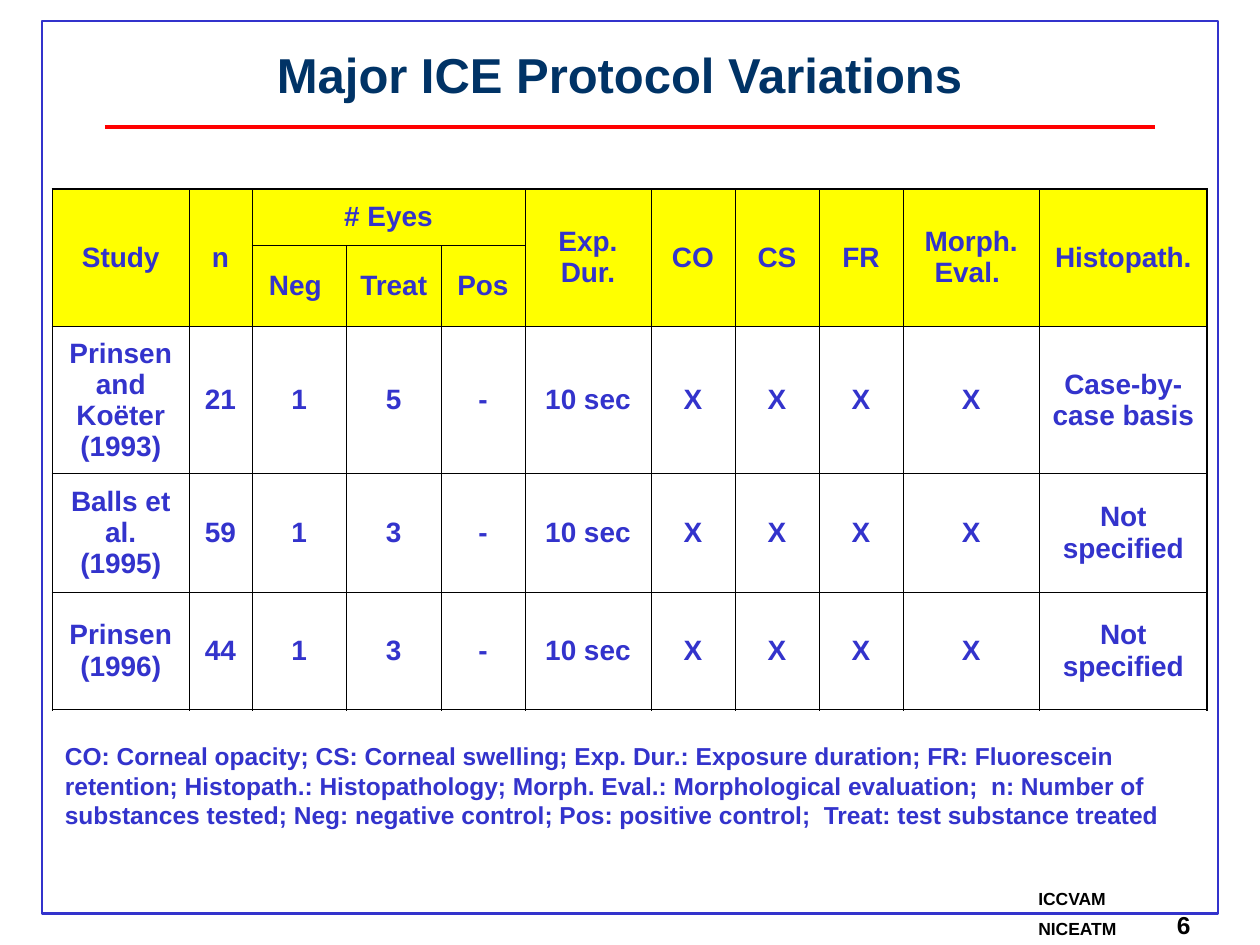
from lxml import etree
from pptx import Presentation
from pptx import util as u
from pptx.dml.color import RGBColor
from pptx.enum import shapes, text
from pptx.oxml import ns

PX = u.Inches(1) // 120
FONT = "Arial"
COLORS = {"blue": "3333CC", "navy": "003366", "red": "FF0000",
          "yellow": "FFFF00", "black": "000000"}
THIN, THICK = 0.45, 1.08
COLS = [130, 60, 90, 90, 80, 120, 80, 80, 80, 130, 160]
ROWS = [54, 77, 140, 113, 112]
HEAD = ["Study", "n", "# Eyes", "", "", "Exp. Dur.", "CO", "CS", "FR",
        "Morph. Eval. ", "Histopath."]
EYES = {2: "Neg ", 3: "Treat", 4: "Pos"}
STUDIES = [
    ("Prinsen and Koëter (1993)", "21", "5", "Case-by-case basis"),
    ("Balls et al. (1995)", "59", "3", "Not specified"),
    ("Prinsen (1996)", "44", "3", "Not specified"),
]
NOTE = ("CO: Corneal opacity; CS: Corneal swelling; Exp. Dur.: Exposure duration; "
        "FR: Fluorescein retention; Histopath.: Histopathology; "
        "Morph. Eval.: Morphological evaluation;  n: Number of substances tested; "
        "Neg: negative control; Pos: positive control;  "
        "Treat: test substance treated")


def rgb(name):
    return RGBColor.from_string(COLORS[name])


def px(*vals):
    return [u.Emu(v * PX) for v in vals]


def write(frame, words, size, color, align=text.PP_ALIGN.LEFT):
    frame.text = words
    para = frame.paragraphs[0]
    para.alignment = align
    for run in para.runs:
        font = run.font
        font.name, font.size, font.bold = FONT, u.Pt(size), True
        font.color.rgb = rgb(color)


def add_text(slide, box, words, size, color, align=text.PP_ALIGN.LEFT,
             anchor=text.MSO_ANCHOR.TOP):
    frame = slide.shapes.add_textbox(*px(*box)).text_frame
    frame.word_wrap = True
    frame.vertical_anchor = anchor
    write(frame, words, size, color, align)


def add_frame(slide, box):
    rect = slide.shapes.add_shape(shapes.MSO_SHAPE.RECTANGLE, *px(*box))
    rect.shadow.inherit = False
    rect.fill.background()
    rect.line.color.rgb = rgb("blue")
    rect.line.width = u.Pt(1.5)


def add_rule(slide, ends):
    rule = slide.shapes.add_connector(shapes.MSO_CONNECTOR.STRAIGHT, *px(*ends))
    rule.line.color.rgb = rgb("red")
    rule.line.width = u.Pt(2.25)
    etree.SubElement(rule._element.spPr, ns.qn("a:effectLst"))


def add_edges(cell, outer):
    """Draw the four borders, thick on the sides named in outer."""
    props = cell._tc.get_or_add_tcPr()
    for side in "LRTB":
        width = u.Pt(THICK if side in outer else THIN)
        line = etree.SubElement(props, ns.qn(f"a:ln{side}"), w=str(int(width)))
        fill = etree.SubElement(line, ns.qn("a:solidFill"))
        etree.SubElement(fill, ns.qn("a:srgbClr"), val=COLORS["black"])


def add_table(slide, left, top):
    size = px(left, top, sum(COLS), sum(ROWS))
    table = slide.shapes.add_table(len(ROWS), len(COLS), *size).table
    table.first_row = table.horz_banding = False
    for col, width in zip(table.columns, px(*COLS)):
        col.width = width
    for row, height in zip(table.rows, px(*ROWS)):
        row.height = height

    grid = [HEAD, [EYES.get(c, "") for c in range(len(COLS))]]
    for study, count, treat, histo in STUDIES:
        grid.append([study, count, "1", treat, "-", "10 sec", *"XXXX", histo])

    last_row, last_col = len(ROWS) - 1, len(COLS) - 1
    for r, line in enumerate(grid):
        for c, words in enumerate(line):
            cell = table.cell(r, c)
            sides = {"L": c == 0, "R": c == last_col,
                     "T": r == 0, "B": r == last_row}
            add_edges(cell, [s for s, edge in sides.items() if edge])
            if r < 2:
                cell.fill.solid()
                cell.fill.fore_color.rgb = rgb("yellow")
            else:
                cell.fill.background()
            cell.vertical_anchor = text.MSO_ANCHOR.MIDDLE
            if words:
                write(cell.text_frame, words, 16, "blue", text.PP_ALIGN.CENTER)

    table.cell(0, min(EYES)).merge(table.cell(0, max(EYES)))
    for c in range(len(COLS)):
        if c not in EYES:
            table.cell(0, c).merge(table.cell(1, c))


def main():
    deck = Presentation()
    deck.slide_width, deck.slide_height = px(1200, 900)
    slide = deck.slides.add_slide(deck.slide_layouts[6])
    add_frame(slide, (40, 20, 1120, 850))
    add_text(slide, (977, 840, 97, 32), "ICCVAM", 10, "black")
    add_text(slide, (977, 868, 116, 32), "NICEATM", 10, "black")
    add_text(slide, (1109, 861, 90, 39), "6", 14, "black")
    add_text(slide, (90, 40, 1000, 60), "Major ICE Protocol Variations", 28, "navy",
             text.PP_ALIGN.CENTER, text.MSO_ANCHOR.MIDDLE)
    add_rule(slide, (100, 121, 1100, 121))
    add_table(slide, 50, 180)
    add_text(slide, (50, 700, 1090, 96), NOTE, 14, "blue")
    deck.save("out.pptx")


if __name__ == "__main__":
    main()
